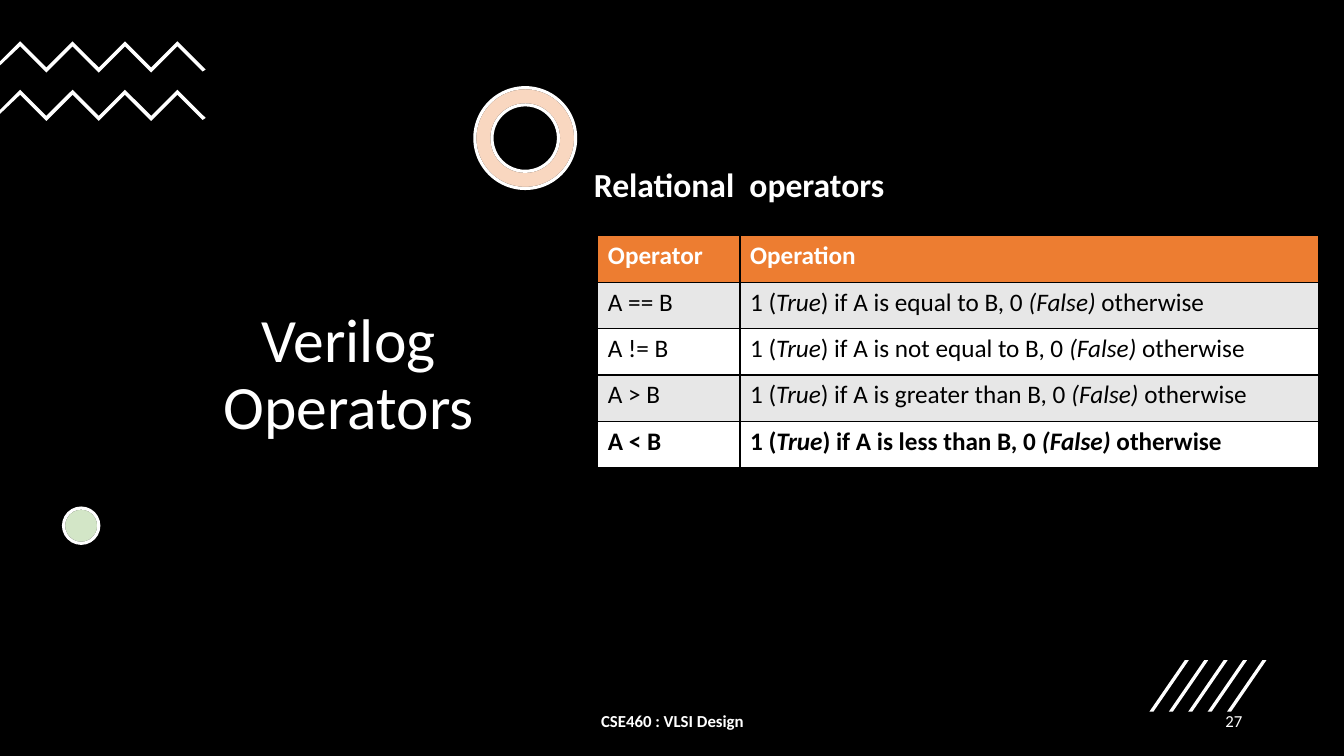
from pptx import Presentation, util as u
from pptx.dml.color import RGBColor
from pptx.enum import shapes, text
from pptx.oxml import parse_xml
from pptx.oxml.ns import nsdecls, qn

WHITE, BLACK, ORANGE, GREEN, GREY = "FFFFFF", "000000", "ED7D31", "70AD47", "E7E7E7"


def color(value):
    return RGBColor.from_string(value)


class Slide:
    font = "Calibri"

    def __init__(self, deck, background):
        self.page = deck.slides.add_slide(deck.slide_layouts[1])
        self.page.background.fill.solid()
        self.page.background.fill.fore_color.rgb = color(background)

    def paint(self, shape, fill, line=None, opacity=None):
        shape.shadow.inherit = False
        shape.fill.solid()
        shape.fill.fore_color.rgb = color(fill)
        if opacity:
            fill_color = shape._element.spPr.find(qn("a:solidFill"))[0]
            fill_color.append(parse_xml(
                f'<a:alpha {nsdecls("a")} val="{opacity * 1000}"/>'))
        if line:
            shape.line.color.rgb = color(line)
            shape.line.width = u.Pt(2.25)
        else:
            shape.line.fill.background()

    def preset(self, kind, area, fill, line=None, opacity=None, thickness=None):
        shape = self.page.shapes.add_shape(kind, *map(u.Inches, area))
        if thickness:
            shape.adjustments[0] = thickness
        self.paint(shape, fill, line, opacity)
        return shape

    def badge(self, kind, area, tint, thickness=None):
        """A white base under a translucent tint."""
        self.preset(kind, area, WHITE, BLACK, thickness=thickness)
        self.preset(kind, area, tint, WHITE, 30, thickness)

    def outline(self, points):
        first, *rest = [(u.Inches(x), u.Inches(y)) for x, y in points]
        builder = self.page.shapes.build_freeform(*first)
        builder.add_line_segments(rest, close=True)
        self.paint(builder.convert_to_shape(), WHITE)

    def style(self, para, size, fill=WHITE, bold=False, align=None):
        para.font.name, para.font.size, para.font.bold = self.font, u.Pt(size), bold
        para.font.color.rgb = color(fill)
        para.alignment = align

    def fill_text(self, box, words, size, bold=False, align=None,
                  anchor=text.MSO_ANCHOR.MIDDLE):
        frame = box.text_frame
        frame.word_wrap = True
        frame.auto_size = text.MSO_AUTO_SIZE.NONE
        frame.vertical_anchor = anchor
        para = frame.paragraphs[0]
        para.text = words
        self.style(para, size, bold=bold, align=align)
        return para

    def placeholder(self, index, area, words, size, **options):
        box = self.page.placeholders[index]
        box.left, box.top, box.width, box.height = map(u.Inches, area)
        para = self.fill_text(box, words, size, **options)
        para.line_spacing = 0.9
        return para

    def label(self, area, words, size, **options):
        box = self.page.shapes.add_textbox(*map(u.Inches, area))
        self.fill_text(box, words, size, **options).space_after = u.Pt(6)

    def cell(self, cell, spans, fill, ink, bold):
        cell.fill.solid()
        cell.fill.fore_color.rgb = color(fill)
        para = cell.text_frame.paragraphs[0]
        for words, italic in spans:
            span = para.add_run()
            span.text = words
            if italic:
                span.font.italic = True
        self.style(para, 18, ink, bold)
        properties = cell._tc.get_or_add_tcPr()
        for position, side in enumerate(("lnL", "lnR", "lnT", "lnB")):
            properties.insert(position, parse_xml(
                f'<a:{side} {nsdecls("a")} w="12700"><a:solidFill>'
                f'<a:srgbClr val="{BLACK}"/></a:solidFill></a:{side}>'))

    def table(self, area, widths, rows):
        table = self.page.shapes.add_table(
            len(rows), len(widths), *map(u.Inches, area)).table
        for column, width in zip(table.columns, widths):
            column.width = u.Inches(width)
        for r, row in enumerate(rows):
            header = r == 0
            fill = ORANGE if header else (GREY if r % 2 else WHITE)
            for c, spans in enumerate(row):
                self.cell(table.cell(r, c), spans, fill, WHITE if header else BLACK,
                          bold=header or r == len(rows) - 1)


def main():
    deck = Presentation()
    deck.slide_width, deck.slide_height = u.Inches(13.33), u.Inches(7.5)
    slide = Slide(deck, "0D0D0D")
    center, right = text.PP_ALIGN.CENTER, text.PP_ALIGN.RIGHT
    kinds = shapes.MSO_SHAPE

    # Backdrop, behind the placeholders
    backdrop = slide.preset(kinds.RECTANGLE, (0, 0, 13.33, 7.5), BLACK)
    slide.page.shapes._spTree.insert(2, backdrop._element)

    # Ring and dot
    slide.badge(kinds.DONUT, (4.71, 0.87, 1, 1), ORANGE, thickness=0.17)
    slide.badge(kinds.OVAL, (0.63, 5.04, 0.35, 0.35), GREEN)

    # Zigzags
    for top in (0.41, 0.89):
        edge = [(0.2 + 0.26 * i, top + 0.26 * (i % 2)) for i in range(7)]
        lower = [(x, y + 0.05) for x, y in reversed(edge)]
        slide.outline(edge + [(2.04, top + 0.28), (2.01, top + 0.3)] + lower
                      + [(0, top + 0.24), (0, top + 0.2)])

    # Slanted strokes
    for i in range(5):
        x = 11.4 + 0.77 / 4 * i
        slide.outline([(x + 0.04, 7.06), (x, 7.06), (x + 0.35, 6.55), (x + 0.39, 6.55)])

    # Title and heading
    slide.placeholder(0, (1.21, 1.38, 4.5, 4.7), "Verilog Operators", 44, align=center)
    heading = slide.placeholder(1, (5.69, 1.62, 7.39, 5.18), "Relational  operators", 24,
                                bold=True, anchor=text.MSO_ANCHOR.TOP)
    heading.space_before, heading.space_after = u.Pt(12), u.Pt(2)
    properties = heading._p.get_or_add_pPr()
    properties.set("marL", str(u.Inches(0.1)))
    properties.set("indent", str(u.Inches(-0.1)))
    properties.find(qn("a:defRPr")).addprevious(
        parse_xml(f'<a:buChar {nsdecls("a")} char=" "/>'))

    # Operator table
    rows = [[[("Operator", False)], [("Operation", False)]]]
    for sign, relation in (("==", "equal to"), ("!=", "not equal to"),
                           (">", "greater than"), ("<", "less than")):
        rows.append([[(f"A {sign} B", False)],
                     [("1 (", False), ("True", True), (f") if A is {relation} B, 0 ", False),
                      ("(False) ", True), ("otherwise", False)]])
    slide.table((5.93, 2.34, 7.15, 2.3), (1.41, 5.74), rows)

    # Footer
    slide.label((9.42, 6.95, 3, 0.4), "27", 12, align=right)
    slide.label((4.42, 6.95, 4.5, 0.4), "CSE460 : VLSI Design", 12, bold=True, align=center)

    deck.save("out.pptx")


if __name__ == "__main__":
    main()
